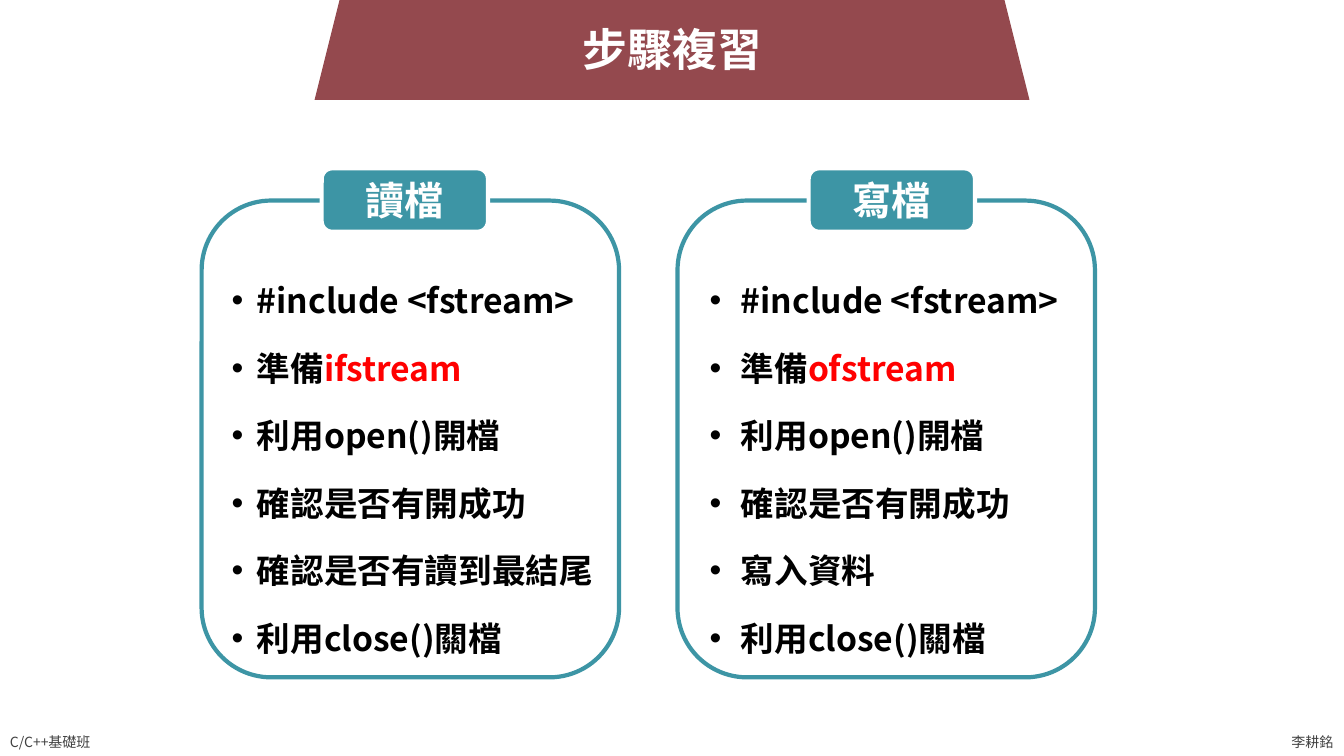
from lxml import etree
from pptx import Presentation
from pptx import util as u
from pptx.dml.color import RGBColor
from pptx.enum import shapes, text
from pptx.oxml.ns import qn

WHITE, BLACK, RED, TEAL, MAROON, GREY = "FFFFFF", "000000", "FF0000", "3D95A5", "94494E", "404040"


def colour(value):
    return RGBColor.from_string(value)


class ReviewSlide:
    """Draws the elements of one slide in a shared style."""

    font = "Noto Sans CJK TC"

    def __init__(self, deck):
        self.slide = deck.slides.add_slide(deck.slide_layouts[6])
        self.width, self.height = deck.slide_width, deck.slide_height

    def place(self, left, top, width, height):
        return [u.Emu(round(share * side)) for share, side in zip(
            (left / 13.33, top / 7.5, width / 13.33, height / 7.5),
            (self.width, self.height) * 2)]

    def panel(self, preset, box, fill=None, line=None):
        panel = self.slide.shapes.add_shape(preset, *self.place(*box))
        panel.shadow.inherit = False
        if fill:
            panel.fill.solid()
            panel.fill.fore_color.rgb = colour(fill)
        else:
            panel.fill.background()
        if line:
            panel.line.color.rgb = colour(line)
            panel.line.width = u.Pt(3)
        else:
            panel.line.fill.background()

    def add_words(self, paragraph, words, size, ink, bold):
        run = paragraph.add_run()
        run.text = words
        run.font.name, run.font.size, run.font.bold = self.font, u.Pt(size), bold
        run.font.color.rgb = colour(ink)
        etree.SubElement(run.font._element, qn("a:ea"), typeface=self.font)

    def frame(self, box, wrap):
        frame = self.slide.shapes.add_textbox(*self.place(*box)).text_frame
        frame.word_wrap = wrap
        return frame

    def label(self, box, words, size, ink=WHITE, bold=True, align=text.PP_ALIGN.CENTER):
        paragraph = self.frame(box, False).paragraphs[0]
        paragraph.alignment = align
        self.add_words(paragraph, words, size, ink, bold)

    def steps(self, box, steps, margin, hanging):
        frame = self.frame(box, True)
        for index, step in enumerate(steps):
            paragraph = frame.add_paragraph() if index else frame.paragraphs[0]
            paragraph.line_spacing, paragraph.space_before = 1.5, u.Pt(5)
            properties = paragraph._p.get_or_add_pPr()
            properties.set("marL", str(u.Inches(margin)))
            properties.set("indent", str(-u.Inches(hanging)))
            etree.SubElement(properties, qn("a:buFont"), typeface="Arial")
            etree.SubElement(properties, qn("a:buChar"), char="•")
            for words, ink in zip(step, (BLACK, RED)):
                self.add_words(paragraph, words, 24, ink, True)


def main():
    deck = Presentation()
    deck.slide_width, deck.slide_height = u.Inches(13.33), u.Inches(7.5)
    review = ReviewSlide(deck)
    rounded = shapes.MSO_SHAPE.ROUNDED_RECTANGLE

    review.label((0, 7.23, 1.07, 0.27), "C/C++基礎班", 10, GREY, False, text.PP_ALIGN.LEFT)
    review.label((12.71, 7.23, 0.62, 0.27), "李耕銘", 10, GREY, False, text.PP_ALIGN.LEFT)
    review.panel(shapes.MSO_SHAPE.TRAPEZOID, (3.12, -0.23, 7.09, 1.22), fill=MAROON)
    review.label((5.67, 0.17, 2, 0.64), "步驟複習", 32)

    columns = (
        ("讀檔", "ifstream", "確認是否有讀到最結尾", 2, 3.19, (1.7, 2.53, 4.38, 3.87), 0.75, 0.25),
        ("寫檔", "ofstream", "寫入資料", 6.72, 8.02, (6.44, 2.53, 4.26, 3.69), 0.81, 0.31),
    )
    for heading, stream, action, card, tab, body, margin, hanging in columns:
        review.panel(rounded, (card, 1.99, 4.14, 4.73), line=TEAL)
        review.steps(body, (("#include <fstream>",), ("準備", stream), ("利用open()開檔",),
                            ("確認是否有開成功",), (action,), ("利用close()關檔",)), margin, hanging)
        review.panel(rounded, (tab, 1.67, 1.65, 0.63), fill=TEAL, line=WHITE)
        review.label((tab + 0.3, 1.7, 1.04, 0.57), heading, 28)

    deck.save("out.pptx")


if __name__ == "__main__":
    main()
